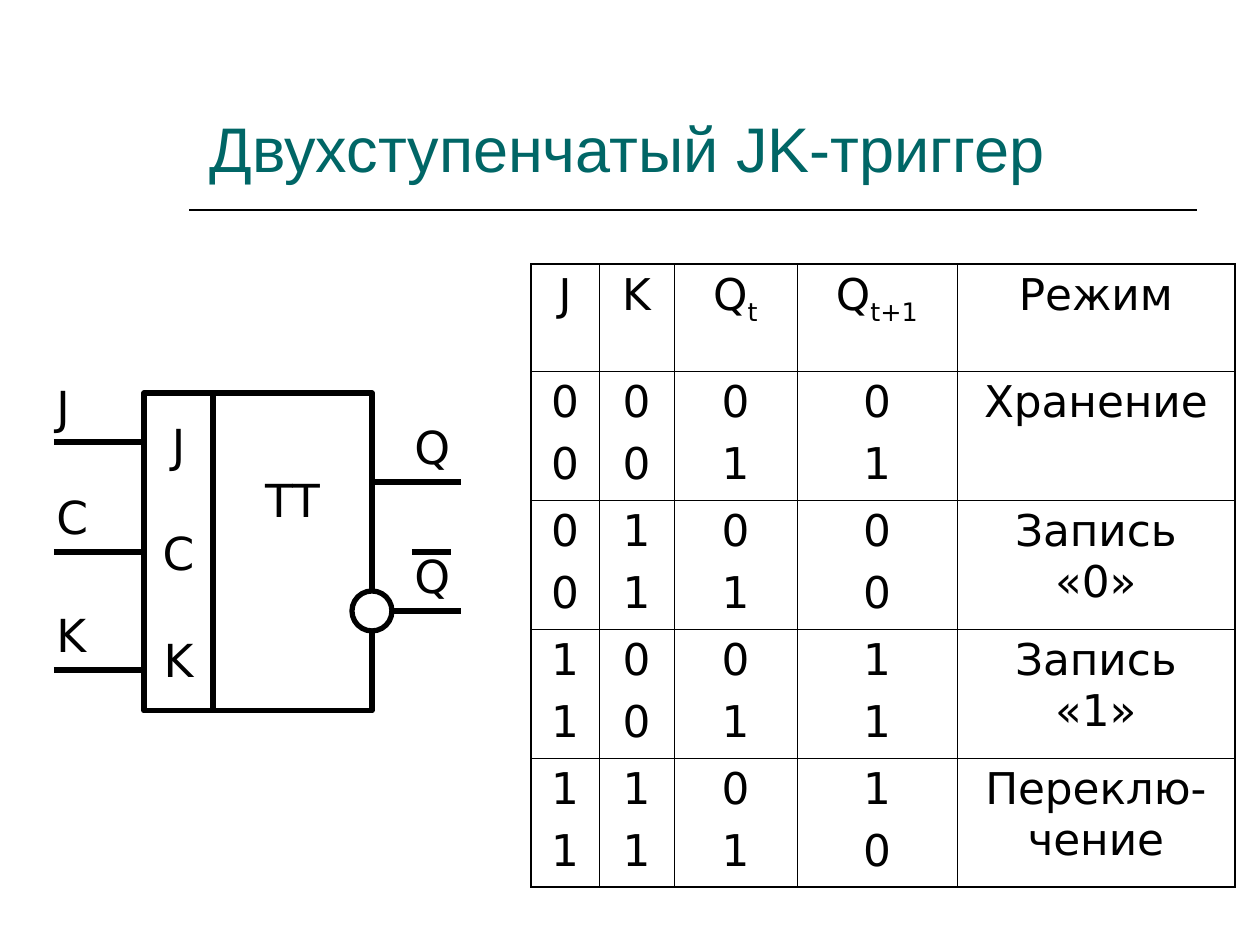
from lxml.etree import SubElement
from pptx import Presentation
from pptx.dml.color import RGBColor
from pptx.enum.shapes import MSO_CONNECTOR as Connector, MSO_SHAPE as Shape
from pptx.enum.text import MSO_ANCHOR as Anchor, MSO_AUTO_SIZE as AutoSize, PP_ALIGN as Align
from pptx.oxml.ns import qn
from pptx.util import Emu, Pt

BLACK, WHITE, TEAL = "000000", "FFFFFF", "006666"
PX = 914400 / 126


def px(*lengths):
    return [Emu(round(length * PX)) for length in lengths]


def color(hex_text):
    return RGBColor.from_string(hex_text)


def apply(target, values):
    for name, value in values.items():
        setattr(target, name, value)


class SlideBuilder:
    title_font = {"name": "Arial", "size": Pt(36)}
    label_font = {"name": "DejaVu Sans", "size": Pt(26)}
    cell_font = {"name": "DejaVu Sans", "size": Pt(25)}
    thick, outer, inner = 3, 1.08, 0.45

    def __init__(self, slide):
        self.slide = slide

    def add_lines(self, frame, lines, font, hue=BLACK, align=Align.LEFT, gap=0):
        """One paragraph per line; what follows "_" is set as a subscript."""
        for index, line in enumerate(lines):
            paragraph = frame.paragraphs[0] if index == 0 else frame.add_paragraph()
            apply(paragraph, {"alignment": align, "space_before": Pt(gap if index else 0)})
            base, _, subscript = line.partition("_")
            for text in filter(None, (base, subscript)):
                run = paragraph.add_run()
                run.text = text
                apply(run.font, font)
                run.font.color.rgb = color(hue)
            if subscript:
                run._r.get_or_add_rPr().set("baseline", "-25000")

    def title(self, text, *box):
        heading = self.slide.shapes.title
        apply(heading, dict(zip(("left", "top", "width", "height"), px(*box))))
        apply(heading.text_frame, {"vertical_anchor": Anchor.BOTTOM, "word_wrap": True,
                                   "auto_size": AutoSize.NONE})
        self.add_lines(heading.text_frame, [text], self.title_font, TEAL)

    def line(self, x1, y1, x2, y2, width=thick):
        wire = self.slide.shapes.add_connector(Connector.STRAIGHT, *px(x1, y1, x2, y2))
        wire.line.color.rgb = color(BLACK)
        wire.line.width = Pt(width)
        SubElement(wire._element.spPr, qn("a:effectLst"))

    def block(self, kind, *box, lines=(), gap=0, bottom=6):
        part = self.slide.shapes.add_shape(kind, *px(*box))
        part.shadow.inherit = False
        part.fill.solid()
        part.fill.fore_color.rgb = color(WHITE)
        part.line.color.rgb = color(BLACK)
        part.line.width = Pt(self.thick)
        apply(part.text_frame, {"vertical_anchor": Anchor.MIDDLE, "word_wrap": False,
                                "margin_bottom": px(bottom)[0]})
        self.add_lines(part.text_frame, lines, self.label_font, align=Align.CENTER, gap=gap)

    def label(self, text, *box):
        frame = self.slide.shapes.add_textbox(*px(*box)).text_frame
        frame.word_wrap = True
        self.add_lines(frame, [text], self.label_font)

    def borders(self, cell, widths):
        properties = cell._tc.get_or_add_tcPr()
        for side, width in zip("LRTB", widths):
            edge = SubElement(properties, qn(f"a:ln{side}"), w=str(int(Pt(width))))
            fill = SubElement(edge, qn("a:solidFill"))
            SubElement(fill, qn("a:srgbClr"), val=BLACK)

    def table(self, rows, left, top, widths, heights):
        last_row, last_column = len(heights) - 1, len(widths) - 1
        grid = self.slide.shapes.add_table(len(heights), len(widths), *px(
            left, top, sum(widths), sum(heights))).table
        apply(grid, {"first_row": False, "horz_banding": False})
        for column, width in zip(grid.columns, px(*widths)):
            column.width = width
        for row, height in zip(grid.rows, px(*heights)):
            row.height = height
        for r, texts in enumerate(rows):
            for c, text in enumerate(texts):
                cell = grid.cell(r, c)
                at_edge = (c == 0, c == last_column, r == 0, r == last_row)
                self.borders(cell, [self.outer if edge else self.inner for edge in at_edge])
                cell.fill.background()
                self.add_lines(cell.text_frame, text.split("\n"), self.cell_font,
                               align=Align.CENTER, gap=6.2)


def main():
    deck = Presentation()
    deck.slide_width, deck.slide_height = px(1260, 945)
    page = SlideBuilder(deck.slides.add_slide(deck.slide_layouts[5]))

    # Heading and its rule
    page.title("Двухступенчатый JK-триггер", 197, 49, 993, 142)
    page.line(189, 210, 1197, 210, width=1)

    # Truth table
    page.table([
        ("J", "K", "Q_t", "Q_t+1", "Режим"),
        ("0\n0", "0\n0", "0\n1", "0\n1", "Хранение"),
        ("0\n0", "1\n1", "0\n1", "0\n0", "Запись «0»"),
        ("1\n1", "0\n0", "0\n1", "1\n1", "Запись «1»"),
        ("1\n1", "1\n1", "0\n1", "1\n0", "Переклю-чение"),
    ], 531, 264, widths=[68, 75, 123, 160, 278], heights=[107] + [129] * 4)

    # Flip-flop body: input column and function field
    page.block(Shape.RECTANGLE, 144, 393, 69, 318, lines=["J", "С", "K"], gap=30.3)
    page.block(Shape.RECTANGLE, 213, 393, 159, 318, lines=["TT"], bottom=112)

    # Pins: wire start, label offset from it, and each pin's height
    pin_length, label_rise = 89, 69
    for start, offset, pins in (
        (54, -10, (("J", 442), ("С", 552), ("K", 670))),
        (372, 30, (("Q", 482), ("Q", 611))),
    ):
        for name, y in pins:
            page.line(start, y, start + pin_length, y)
            page.label(name, start + offset, y - label_rise, 89, 68)

    # Inverted output: overline and bubble
    page.line(412, 552, 451, 552)
    page.block(Shape.OVAL, 352, 591, 40, 40)

    deck.save("out.pptx")


if __name__ == "__main__":
    main()
